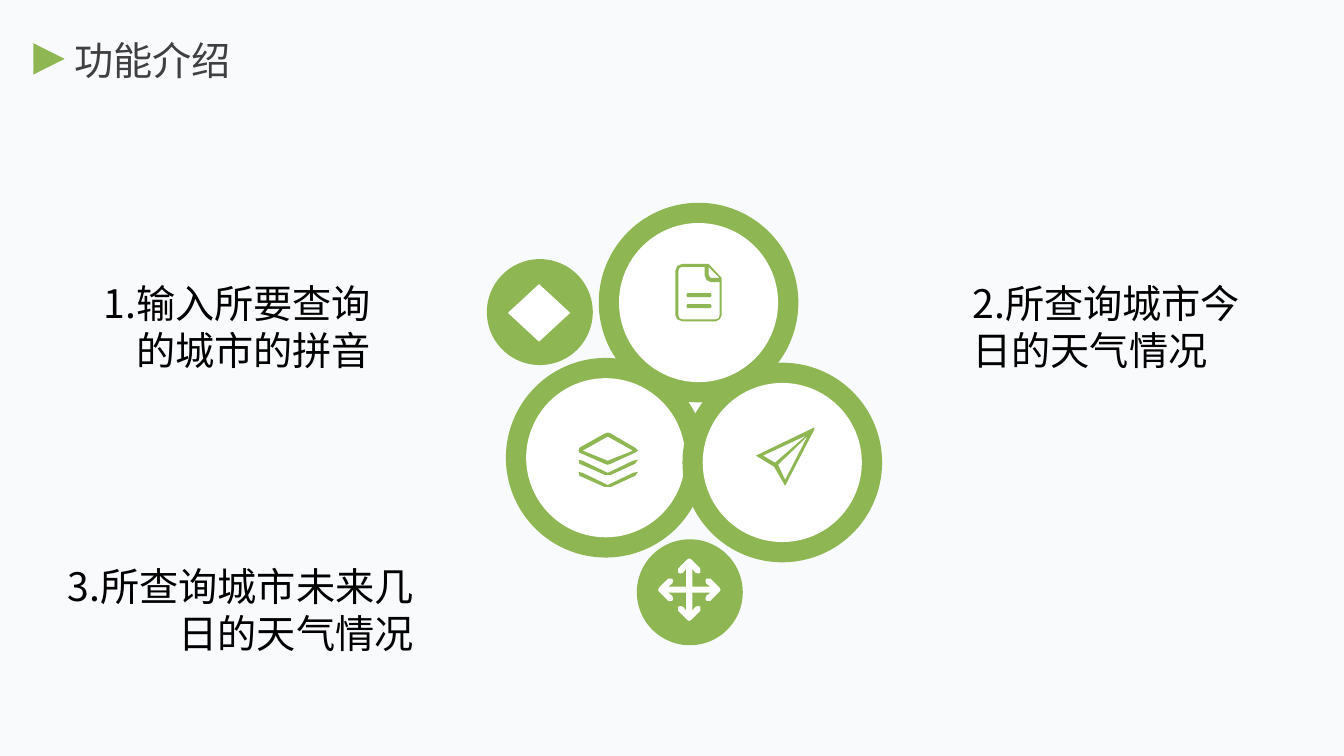
from dataclasses import dataclass

from pptx import Presentation
from pptx import util as u
from pptx.dml.color import RGBColor
from pptx.enum import shapes, text
from pptx.oxml import ns
from lxml import etree

Cm, Kind = u.Cm, shapes.MSO_SHAPE


@dataclass(frozen=True)
class Theme:
    """Colours, type and icon scale of the deck."""
    background: str = "F9FAFC"
    green: str = "8EB652"
    white: str = "FFFFFF"
    heading: str = "404040"
    body: str = "000000"
    face: str = "Noto Sans CJK SC"
    size: int = 28
    icon_unit: float = Cm(2.54) / 100


THEME = Theme()

PLANE = [
    [(56, 1), (0, 28), (18, 39), (29, 58), (58, 2), (58, 0)],
    [(7, 28), (50, 8), (19, 35)],
    [(29, 52), (22, 37), (51, 9)],
]
DOCUMENT = [
    [(33, 0), (7, 0), (2, 2), (0, 7), (0, 51), (2, 55), (7, 57),
     (40, 57), (44, 55), (46, 51), (46, 14)],
    [(44, 51), (43, 54), (40, 55), (7, 55), (4, 54), (3, 51), (3, 7), (4, 4),
     (7, 3), (29, 3), (29, 11), (31, 16), (35, 18), (44, 18)],
    [(35, 14), (33, 11), (33, 3), (44, 14)],
] + [[(12, y), (35, y), (36, y + 2), (35, y + 4), (12, y + 4), (11, y + 2)]
     for y in (29, 40)]
LAYERS = [
    [(29, 0), (32, 1), (56, 15), (59, 18), (56, 20), (32, 31), (29, 32),
     (26, 31), (1, 20), (0, 18), (1, 15), (26, 1)],
    [(29, 4), (54, 18), (29, 28), (4, 18)],
] + [[(0, y), (4, y + 1), (29, y + 13), (54, y + 1), (59, y), (56, y + 4),
      (32, y + 15), (26, y + 15), (1, y + 4)] for y in (27, 39)]


def four_arrows():
    """Return one outline of four equal arrows around the origin."""
    half = [(3, -3), (21, -3), (17, -6), (16, -9), (17, -11), (19, -11),
            (21, -11), (30, -2), (31, 0)]
    arm = half + [(x, -y) for x, y in reversed(half[1:-1])]
    outline = []
    for _ in range(4):
        outline += arm
        arm = [(-y, x) for x, y in arm]
    return [outline]


def paint(shape, colour):
    """Fill a shape flat, without line or shadow."""
    shape.shadow.inherit = False
    shape.fill.solid()
    shape.fill.fore_color.rgb = RGBColor.from_string(colour)
    shape.line.fill.background()
    return shape


def add_flat(page, kind, left, top, width, height, colour):
    """Add a flat preset shape, measured in centimetres."""
    box = map(Cm, (left, top, width, height))
    return paint(page.shapes.add_shape(kind, *box), colour)


def add_icon(page, outlines, left, top, colour):
    """Draw closed outlines as one shape."""
    first, *others = outlines
    builder = page.shapes.build_freeform(*first[0], scale=THEME.icon_unit)
    builder.add_line_segments(first[1:], close=True)
    for outline in others:
        builder.move_to(*outline[0])
        builder.add_line_segments(outline[1:], close=True)
    paint(builder.convert_to_shape(Cm(left), Cm(top)), colour)


def add_words(page, words, left, top, width, height, colour):
    """Add a wrapped text box and return its frame and paragraph."""
    box = page.shapes.add_textbox(*map(Cm, (left, top, width, height)))
    frame = box.text_frame
    frame.word_wrap = True
    para = frame.paragraphs[0]
    para.text = words
    font = para.font
    font.name, font.size = THEME.face, u.Pt(THEME.size)
    font.color.rgb = RGBColor.from_string(colour)
    defaults = para._p.pPr.find(ns.qn("a:defRPr"))
    etree.SubElement(defaults, ns.qn("a:ea"), typeface=THEME.face)
    return frame, para


def add_title(page, words, left, top):
    """Place the heading with its marker."""
    marker = add_flat(page, Kind.ISOSCELES_TRIANGLE, left, top + 0.3,
                      0.79, 0.79, THEME.green)
    marker.rotation = 90
    add_words(page, words, left + 0.79, top, 9.7, 1.45, THEME.heading)


def add_cluster(page, left, top):
    """Place the rings, discs and icons."""
    disc, ring, rim = 2.67, 5.03, 0.51
    for x, y, colour in ((0, 1.42, THEME.green), (3.96, 3.75, THEME.white),
                         (3.78, 8.48, THEME.green)):
        add_flat(page, Kind.OVAL, left + x, top + y, disc, disc, colour)
    for x, y in ((0.48, 3.91), (4.93, 4.03), (2.82, 0)):
        for inset, colour in ((0, THEME.green), (rim, THEME.white)):
            size = ring - 2 * inset
            add_flat(page, Kind.OVAL, left + x + inset, top + y + inset,
                     size, size, colour)
    for outlines, x, y, colour in (
            (PLANE, 6.78, 5.66, THEME.green),
            (DOCUMENT, 4.75, 1.54, THEME.green),
            (LAYERS, 2.31, 5.79, THEME.green),
            (four_arrows(), 5.1, 9.75, THEME.white)):
        add_icon(page, outlines, left + x, top + y, colour)
    add_flat(page, Kind.DIAMOND, left + 0.53, top + 2.05, 1.57, 1.45,
             THEME.white)


def add_feature(page, words, left, top, width, align):
    """Place one feature description."""
    frame, para = add_words(page, words, left, top, width, 2.49, THEME.body)
    frame.margin_left = frame.margin_right = 0
    frame.margin_top = frame.margin_bottom = 0
    para.alignment = align
    para.space_before = u.Pt(7.5)


def build_features_page(deck):
    """Build the feature overview."""
    page = deck.slides.add_slide(deck.slide_layouts[6])
    page.background.fill.solid()
    page.background.fill.fore_color.rgb = RGBColor.from_string(THEME.background)
    add_title(page, "功能介绍", 0.84, 0.79)
    add_cluster(page, 12.27, 5.11)
    align = text.PP_ALIGN
    for feature in (
            ("1.输入所要查询的城市的拼音", 1.63, 7.04, 7.72, align.RIGHT),
            ("3.所查询城市未来几日的天气情况", 1.63, 14.17, 8.79, align.RIGHT),
            ("2.所查询城市今日的天气情况", 24.51, 7.04, 7.29, align.LEFT)):
        add_feature(page, *feature)


deck = Presentation()
deck.slide_width, deck.slide_height = Cm(33.87), Cm(19.05)
build_features_page(deck)
deck.save("out.pptx")
